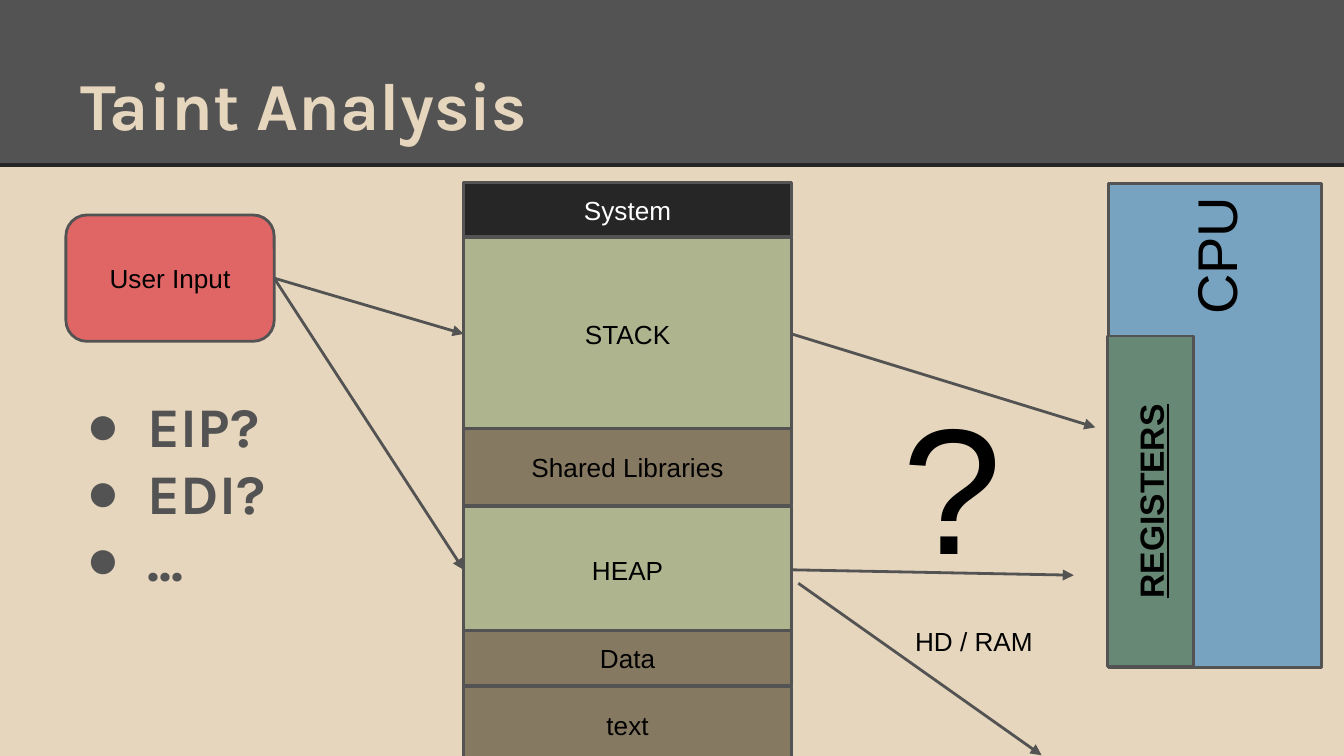
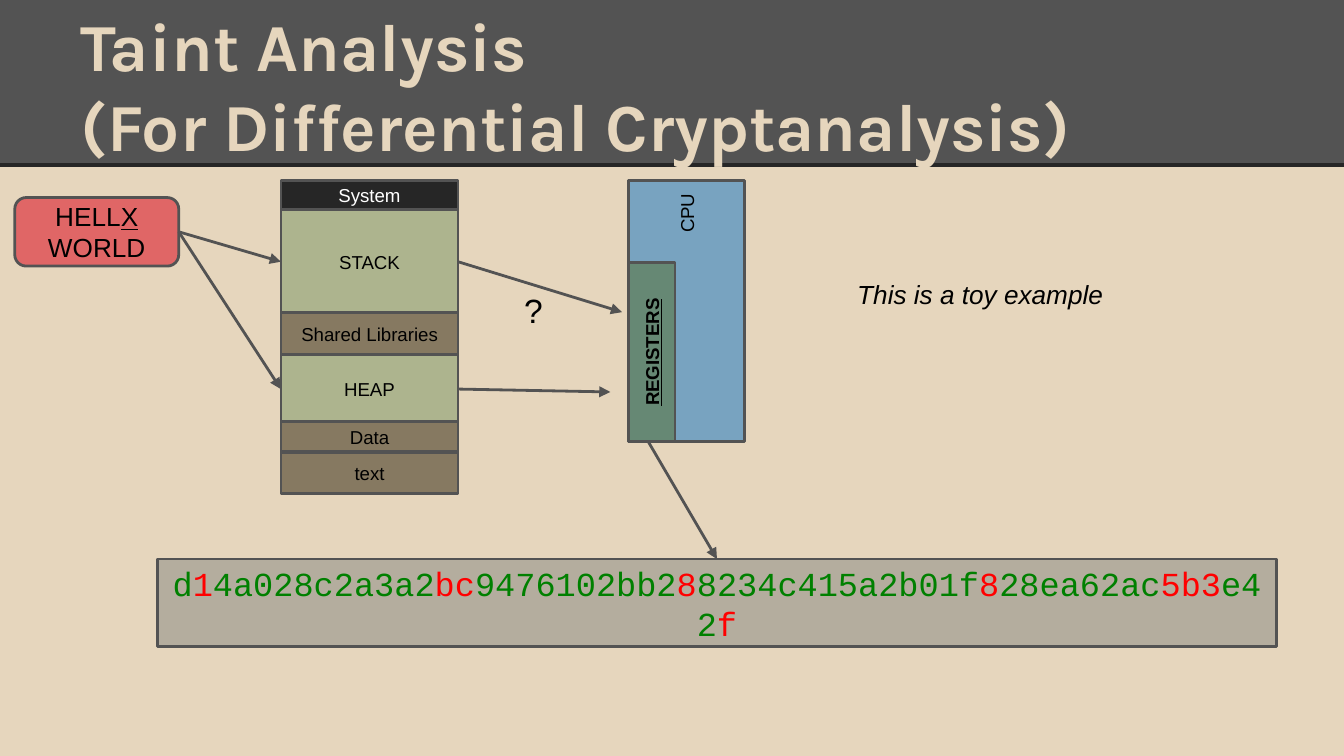
from copy import deepcopy
from dataclasses import dataclass

from lxml.etree import SubElement
from pptx import Presentation
from pptx.dml.color import RGBColor
from pptx.enum.shapes import MSO_CONNECTOR as Connector, MSO_SHAPE as Preset
from pptx.enum.text import MSO_ANCHOR as Anchor, MSO_AUTO_SIZE as AutoSize, PP_ALIGN as Align
from pptx.oxml.ns import qn
from pptx.util import Inches, Pt

TITLE_AND_BODY, TITLE_ONLY = 1, 5
TOP, LEFT, RIGHT = 0, 1, 3


@dataclass(frozen=True)
class Theme:
    sand: str = "E6D6BD"
    gray: str = "535353"
    dark: str = "262626"
    black: str = "000000"
    white: str = "FFFFFF"
    olive: str = "ADB48E"
    brown: str = "867961"
    red: str = "E06666"
    blue: str = "78A3C0"
    green: str = "668874"
    stone: str = "B4AD9E"
    same: str = "008000"
    changed: str = "FF0000"
    heading_font: str = "Karla"
    text_font: str = "Arial"
    code_font: str = "Courier New"
    title_size: int = 36
    list_size: int = 30
    large_size: int = 18
    text_size: int = 14
    small_size: int = 10
    line_width: float = 1.5
    rule_width: float = 2.25


def color(value):
    return RGBColor.from_string(value)


def place(shape, box):
    shape.left, shape.top, shape.width, shape.height = map(Inches, box)


def write(frame, *paragraphs, size, font, ink, bold=None, italic=None, underline=None,
          align=Align.LEFT, anchor=Anchor.TOP):
    """Fill a frame; a paragraph is a string or a list of (text, overrides) runs."""
    frame.word_wrap = True
    frame.auto_size = AutoSize.NONE
    frame.vertical_anchor = anchor
    frame.margin_left = frame.margin_right = Inches(0.1)
    frame.margin_top = frame.margin_bottom = Inches(0.1)
    for index, runs in enumerate(paragraphs):
        paragraph = frame.add_paragraph() if index else frame.paragraphs[0]
        paragraph.alignment = align
        paragraph.space_before = paragraph.space_after = Pt(0)
        for text, overrides in [(runs, {})] if isinstance(runs, str) else runs:
            for number, line in enumerate(text.split("\n")):
                if number:
                    paragraph.add_line_break()
                    line_break = paragraph._p.findall(qn("a:br"))[-1]
                    line_break.append(deepcopy(run._r.rPr))
                run = paragraph.add_run()
                run.text = line
                run.font.name = font
                run.font.size = Pt(size)
                run.font.bold, run.font.italic = bold, italic
                run.font.underline = overrides.get("underline", underline)
                run.font.color.rgb = color(overrides.get("ink", ink))


class Deck:
    def __init__(self, theme):
        self.theme = theme
        self.presentation = Presentation()
        self.presentation.slide_width = Inches(10)
        self.presentation.slide_height = Inches(10) * 9 // 16
        self.slide = None

    def add_slide(self, layout, title, title_top):
        layouts = self.presentation.slide_layouts
        self.slide = self.presentation.slides.add_slide(layouts[layout])
        placeholder = self.slide.shapes.title
        place(placeholder, (0.5, title_top, 9, 0.94))
        write(placeholder.text_frame, title, size=self.theme.title_size, bold=True,
              font=self.theme.heading_font, ink=self.theme.sand, anchor=Anchor.BOTTOM)

    def style_master(self):
        """Draw the shared title band on the current slide and move it to the master."""
        master = self.presentation.slide_master
        master.background.fill.solid()
        master.background.fill.fore_color.rgb = color(self.theme.sand)
        band = self.box((0, 0, 10, 1.23), self.theme.gray)
        band.line.fill.background()
        rule = self.line((0, 1.23), (10, 1.23), self.theme.dark, self.theme.rule_width)
        for position, shape in enumerate((band, rule), start=2):
            master.shapes._spTree.insert(position, shape._element)

    def box(self, bounds, fill, text=None, preset=Preset.RECTANGLE, rotation=0, **format):
        shape = self.slide.shapes.add_shape(preset, *map(Inches, bounds))
        shape.shadow.inherit = False
        shape.rotation = rotation
        shape.fill.solid()
        shape.fill.fore_color.rgb = color(fill)
        shape.line.color.rgb = color(self.theme.gray)
        shape.line.width = Pt(self.theme.line_width)
        if text:
            style = dict(size=self.theme.text_size, font=self.theme.text_font,
                         ink=self.theme.black, align=Align.CENTER, anchor=Anchor.MIDDLE)
            write(shape.text_frame, text, **{**style, **format})
        return shape

    def label(self, bounds, text, size, **format):
        shape = self.slide.shapes.add_textbox(*map(Inches, bounds))
        write(shape.text_frame, text, size=size, font=self.theme.text_font,
              ink=self.theme.black, **format)

    def line(self, start, end, ink, width):
        connector = self.slide.shapes.add_connector(
            Connector.STRAIGHT, *map(Inches, (*start, *end)))
        connector.line.color.rgb = color(ink)
        connector.line.width = Pt(width)
        SubElement(connector._element.spPr, qn("a:effectLst"))
        return connector

    def arrow(self, start, end):
        """Join two ends, each a point or a (shape, side) pair."""
        joined_start, joined_end = (hasattr(place[0], "shape_id") for place in (start, end))
        connector = self.line((0, 0) if joined_start else start,
                              (0, 0) if joined_end else end,
                              self.theme.gray, self.theme.line_width)
        if joined_start:
            connector.begin_connect(*start)
        if joined_end:
            connector.end_connect(*end)
        SubElement(connector.line._get_or_add_ln(), qn("a:tailEnd"), type="triangle")

    def bullets(self, bounds, items, top_inset):
        body = self.slide.placeholders[1]
        place(body, bounds)
        write(body.text_frame, *items, size=self.theme.list_size, bold=True,
              font=self.theme.heading_font, ink=self.theme.gray)
        body.text_frame.margin_top = Inches(top_inset)
        for paragraph in body.text_frame.paragraphs:
            properties = paragraph._p.get_or_add_pPr()
            properties.set("marL", str(Inches(0.5)))
            properties.set("indent", str(-Inches(0.46)))
            bullet_color = SubElement(properties, qn("a:buClr"))
            SubElement(bullet_color, qn("a:srgbClr"), val=self.theme.gray)
            SubElement(properties, qn("a:buChar"), char="●")

    def memory_diagram(self, left, top, scale, input_bounds, input_text, sizes):
        """Draw memory, CPU and data flow, measured from the top left of the memory."""
        theme = self.theme

        def point(x, y):
            return left + x * scale, top + y * scale

        def bounds(x, y, width, height):
            return *point(x, y), width * scale, height * scale

        self.box(bounds(3.79, 1.01, 3.6, 1.59), theme.blue, "CPU", rotation=270,
                 size=sizes["cpu"], align=Align.RIGHT)
        user_input = self.box(input_bounds, theme.red, input_text,
                              preset=Preset.ROUNDED_RECTANGLE)
        segments = {}
        for name, y, height, fill in (
            ("System", 0, 0.4, theme.dark),
            ("STACK", 0.41, 1.43, theme.olive),
            ("Shared Libraries", 1.83, 0.57, theme.brown),
            ("HEAP", 2.41, 0.94, theme.olive),
            ("Data", 3.33, 0.41, theme.brown),
            ("text", 3.75, 0.57, theme.brown),
        ):
            segments[name] = self.box(
                bounds(0, y, 2.44, height), fill, name, size=sizes["memory"],
                ink=theme.white if name == "System" else theme.black)
        self.box(bounds(3.88, 2.05, 2.46, 0.64), theme.green, "REGISTERS", rotation=270,
                 size=sizes["registers"], bold=True, underline=True)
        for name, target in (("STACK", (4.7, 1.82)), ("HEAP", (4.54, 2.92))):
            self.arrow((user_input, RIGHT), (segments[name], LEFT))
            self.arrow((segments[name], RIGHT), point(*target))
        self.label(bounds(3.17, 1.33, 2.25, 2.94), "?", sizes["question"])


def build_overview(deck):
    theme = deck.theme
    deck.add_slide(TITLE_AND_BODY, "Taint Analysis", 0.23)
    deck.style_master()
    deck.memory_diagram(
        3.45, 1.36, 1, (0.49, 1.6, 1.55, 0.94), "User Input",
        dict(cpu=30, memory=theme.text_size, registers=theme.large_size, question=96))
    deck.bullets((0.5, 1.31, 9, 4.07), ("EIP?", "EDI?", "..."), top_inset=1.6)
    deck.arrow((5.94, 4.34), (7.75, 5.62))
    deck.label((6.71, 4.55, 1.15, 0.41), "HD / RAM", theme.text_size)


def build_cryptanalysis(deck):
    theme = deck.theme
    deck.add_slide(TITLE_ONLY, "Taint Analysis \n(For Differential Cryptanalysis)", 0.39)
    deck.memory_diagram(
        2.09, 1.34, 0.54, (0.11, 1.47, 1.22, 0.51),
        [("HELL", {}), ("X", {"underline": True}), (" WORLD", {})],
        dict(cpu=theme.small_size, memory=theme.small_size,
             registers=theme.small_size, question=theme.large_size))
    # Every second piece of the digest differs from the reference output.
    pieces = "d|1|4a028c2a3a2|bc|9476102bb2|8|8234c415a2b01f|8|28ea62ac|5b3|e42|f".split("|")
    digest = [(piece, {"ink": theme.changed if index % 2 else theme.same})
              for index, piece in enumerate(pieces)]
    output = deck.box((1.17, 4.16, 8.33, 0.65), theme.stone, digest,
                      size=theme.large_size, font=theme.code_font)
    deck.arrow((4.82, 3.28), (output, TOP))
    deck.label((6.28, 1.97, 3.35, 1.39), "This is a toy example", theme.text_size, italic=True)


def main():
    deck = Deck(Theme())
    build_overview(deck)
    build_cryptanalysis(deck)
    deck.presentation.save("out.pptx")


if __name__ == "__main__":
    main()
